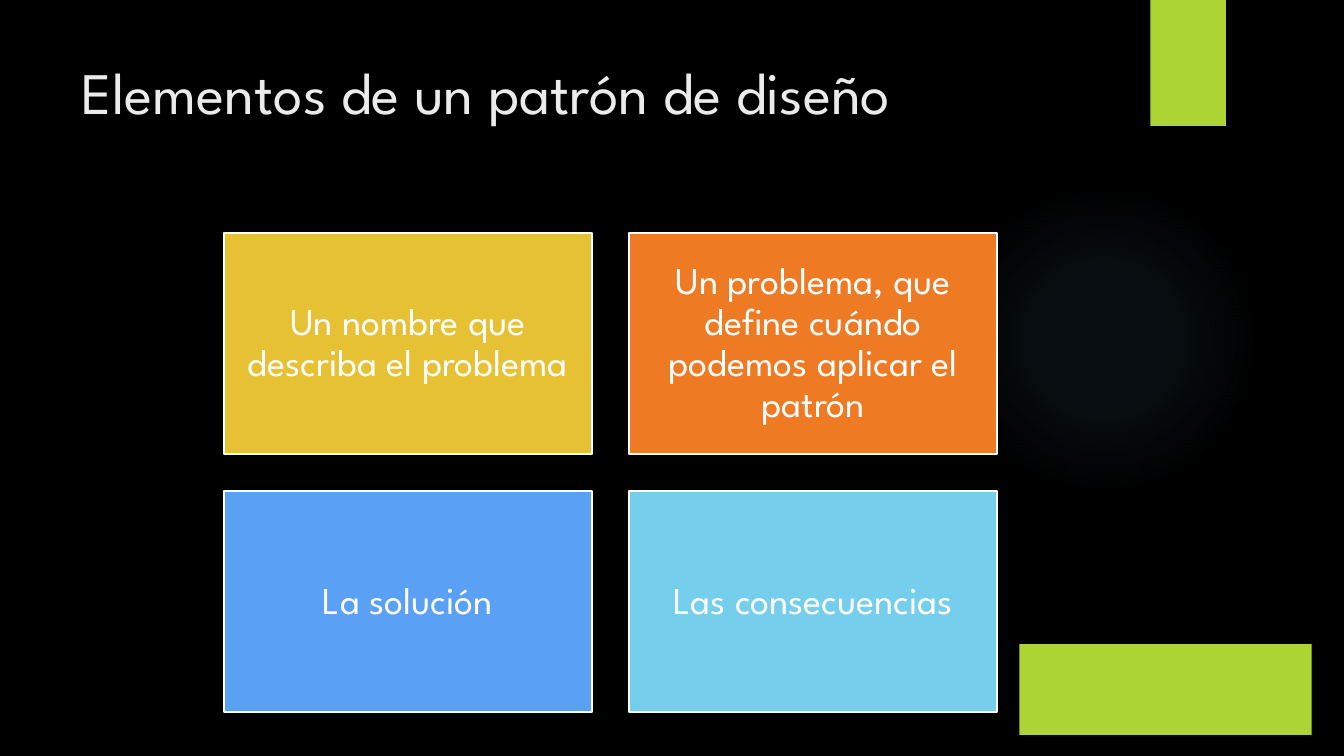
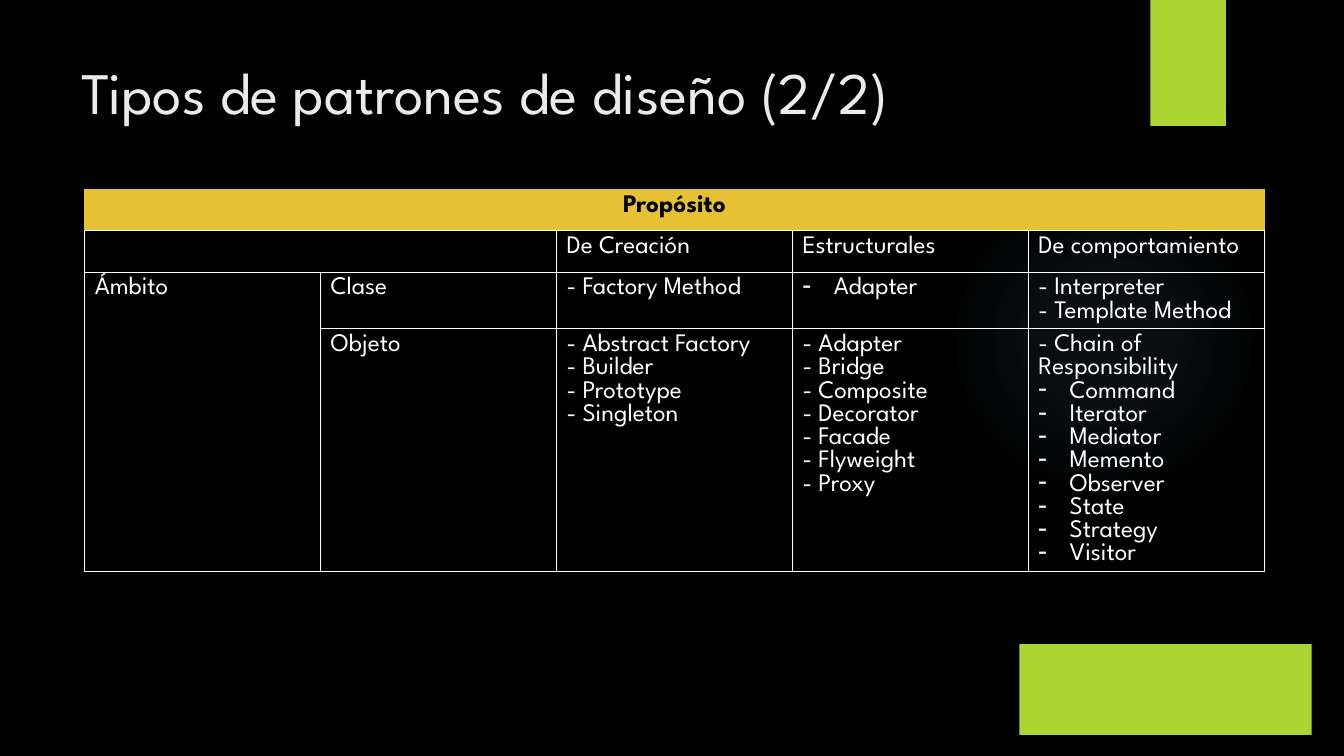
import pptx
import pptx.dml.color
import pptx.enum.shapes
import pptx.enum.text
import pptx.oxml
import pptx.oxml.ns
import pptx.util
from pptx.util import Inches

# Theme: colours (RRGGBB), font, and type sizes with line heights in points
THEME = {
    "font": "League Spartan",
    "background": "000000",
    "accent": "ACD433",
    "halo": "7AC4F0",
    "title": "EBEBEB",
    "white": "FFFFFF",
    "black": "000000",
    "yellow": "E6C133",
    "orange": "EF7A24",
    "blue": "5AA0F5",
    "sky": "75CEEC",
    "title_type": (42, 51),
    "card_type": (27, 29.3),
    "table_type": (18, 16.6),
}
RECTANGLE = pptx.enum.shapes.MSO_SHAPE.RECTANGLE
ALIGN = pptx.enum.text.PP_ALIGN
ANCHOR = pptx.enum.text.MSO_ANCHOR


def rgb(name):
    return pptx.dml.color.RGBColor.from_string(THEME[name])


def write_text(frame, text, kind, color="white", align=ALIGN.LEFT, bold=False):
    """Write one paragraph per line; a leading bullet sign makes a hanging dash."""
    frame.word_wrap = True
    size, line_height = THEME[kind]
    for index, line in enumerate(text.split("\n")):
        paragraph = frame.paragraphs[0] if index == 0 else frame.add_paragraph()
        paragraph.alignment = align
        paragraph.line_spacing = pptx.util.Pt(line_height)
        if line.startswith("•"):
            properties = paragraph._p.get_or_add_pPr()
            properties.set("marL", str(Inches(0.31)))
            properties.set("indent", str(-Inches(0.31)))
            bullet = pptx.oxml.parse_xml(
                f'<a:buChar {pptx.oxml.ns.nsdecls("a")} char="-"/>')
            properties.append(bullet)
        run = paragraph.add_run()
        run.text = line.lstrip("•")
        run.font.name = THEME["font"]
        run.font.size = pptx.util.Pt(size)
        run.font.bold = bold
        run.font.color.rgb = rgb(color)


deck = pptx.Presentation()
deck.slide_width, deck.slide_height = Inches(13.33), Inches(7.5)

# Shared frame of both slides: background, halo, accent blocks, title
halo_stops = "".join(
    f'<a:gs pos="{position * 1000}"><a:srgbClr val="{THEME["halo"]}">'
    f'<a:alpha val="{alpha * 1000}"/></a:srgbClr></a:gs>'
    for position, alpha in ((0, 7), (36, 6), (69, 0), (100, 0)))
halo_fill = (
    f'<a:gradFill {pptx.oxml.ns.nsdecls("a")} rotWithShape="1">'
    f'<a:gsLst>{halo_stops}</a:gsLst><a:path path="circle">'
    '<a:fillToRect l="50000" t="50000" r="50000" b="50000"/></a:path></a:gradFill>')

slides = []
for heading in ("Elementos de un patrón de diseño", "Tipos de patrones de diseño (2/2)"):
    slide = deck.slides.add_slide(deck.slide_layouts[6])
    slide.background.fill.solid()
    slide.background.fill.fore_color.rgb = rgb("background")

    halo = slide.shapes.add_shape(
        pptx.enum.shapes.MSO_SHAPE.OVAL,
        Inches(9.41), Inches(1.83), Inches(3.08), Inches(3.08))
    halo.shadow.inherit = False
    halo.line.fill.background()
    halo._element.spPr.find(pptx.oxml.ns.qn("a:prstGeom")).addnext(
        pptx.oxml.parse_xml(halo_fill))

    for box in ((11.41, 0, 0.75, 1.25), (10.11, 6.39, 2.9, 0.9)):
        accent = slide.shapes.add_shape(RECTANGLE, *map(Inches, box))
        accent.shadow.inherit = False
        accent.fill.solid()
        accent.fill.fore_color.rgb = rgb("accent")
        accent.line.fill.background()

    title = slide.shapes.add_textbox(
        Inches(0.71), Inches(0.5), Inches(10.29), Inches(1.53))
    write_text(title.text_frame, heading, "title_type", color="title")
    slides.append(slide)

elements_slide, types_slide = slides

# Slide 1: four cards in a two-by-two grid
cards = (
    ("Un nombre que describa el problema", "yellow"),
    ("Un problema, que define cuándo podemos aplicar el patrón", "orange"),
    ("La solución", "blue"),
    ("Las consecuencias", "sky"),
)
card_width, card_height, gap = 3.65, 2.19, 0.37
for index, (label, color) in enumerate(cards):
    row, column = divmod(index, 2)
    card = elements_slide.shapes.add_shape(
        RECTANGLE,
        Inches(2.22 + column * (card_width + gap)),
        Inches(2.31 + row * (card_height + gap)),
        Inches(card_width), Inches(card_height))
    card.shadow.inherit = False
    card.fill.solid()
    card.fill.fore_color.rgb = rgb(color)
    card.line.color.rgb = rgb("white")
    card.line.width = pptx.util.Pt(1.5)
    frame = card.text_frame
    frame.margin_left = frame.margin_right = Inches(0.11)
    frame.margin_top = frame.margin_bottom = Inches(0.11)
    frame.vertical_anchor = ANCHOR.MIDDLE
    write_text(frame, label, "card_type", align=ALIGN.CENTER)

# Slide 2: patterns by scope (rows) and purpose (columns)
pattern_rows = (
    ("Propósito", "", "", "", ""),
    ("", "", "De Creación", "Estructurales", "De comportamiento"),
    ("Ámbito", "Clase", "- Factory Method", "•Adapter",
     "- Interpreter\n- Template Method"),
    ("", "Objeto",
     "- Abstract Factory\n- Builder\n- Prototype\n- Singleton",
     "- Adapter\n- Bridge\n- Composite\n- Decorator\n- Facade\n- Flyweight\n- Proxy",
     "- Chain of Responsibility\n•Command\n•Iterator\n•Mediator\n•Memento\n"
     "•Observer\n•State\n•Strategy\n•Visitor"),
)
row_heights = (0.41, 0.41, 0.56, 2.41)
column_width = 2.34
patterns = types_slide.shapes.add_table(
    len(pattern_rows), 5, Inches(0.84), Inches(1.88),
    Inches(5 * column_width), Inches(sum(row_heights))).table
patterns.first_row = patterns.horz_banding = False
for column in patterns.columns:
    column.width = Inches(column_width)
for row, height in zip(patterns.rows, row_heights):
    row.height = Inches(height)

# Merged areas: purpose heading, empty corner, scope label
for first, last in (((0, 0), (0, 4)), ((1, 0), (1, 1)), ((2, 0), (3, 0))):
    patterns.cell(*first).merge(patterns.cell(*last))

for row_index, texts in enumerate(pattern_rows):
    is_heading = row_index == 0
    for column_index, text in enumerate(texts):
        cell = patterns.cell(row_index, column_index)
        if is_heading:
            cell.fill.solid()
            cell.fill.fore_color.rgb = rgb("yellow")
        else:
            cell.fill.background()
        if text:
            write_text(cell.text_frame, text, "table_type",
                       color="black" if is_heading else "white",
                       align=ALIGN.CENTER if is_heading else ALIGN.LEFT,
                       bold=is_heading)

        # Borders go before the fill, in the order left, right, top, bottom
        for position, side in enumerate("LRTB"):
            yellow_edge = is_heading and side != "B"
            edge_color = THEME["yellow" if yellow_edge else "white"]
            edge_width = pptx.util.Pt(0.75 if yellow_edge else 1)
            cell._tc.get_or_add_tcPr().insert(position, pptx.oxml.parse_xml(
                f'<a:ln{side} {pptx.oxml.ns.nsdecls("a")} w="{edge_width}">'
                f'<a:solidFill><a:srgbClr val="{edge_color}"/></a:solidFill>'
                f'</a:ln{side}>'))

deck.save("out.pptx")
